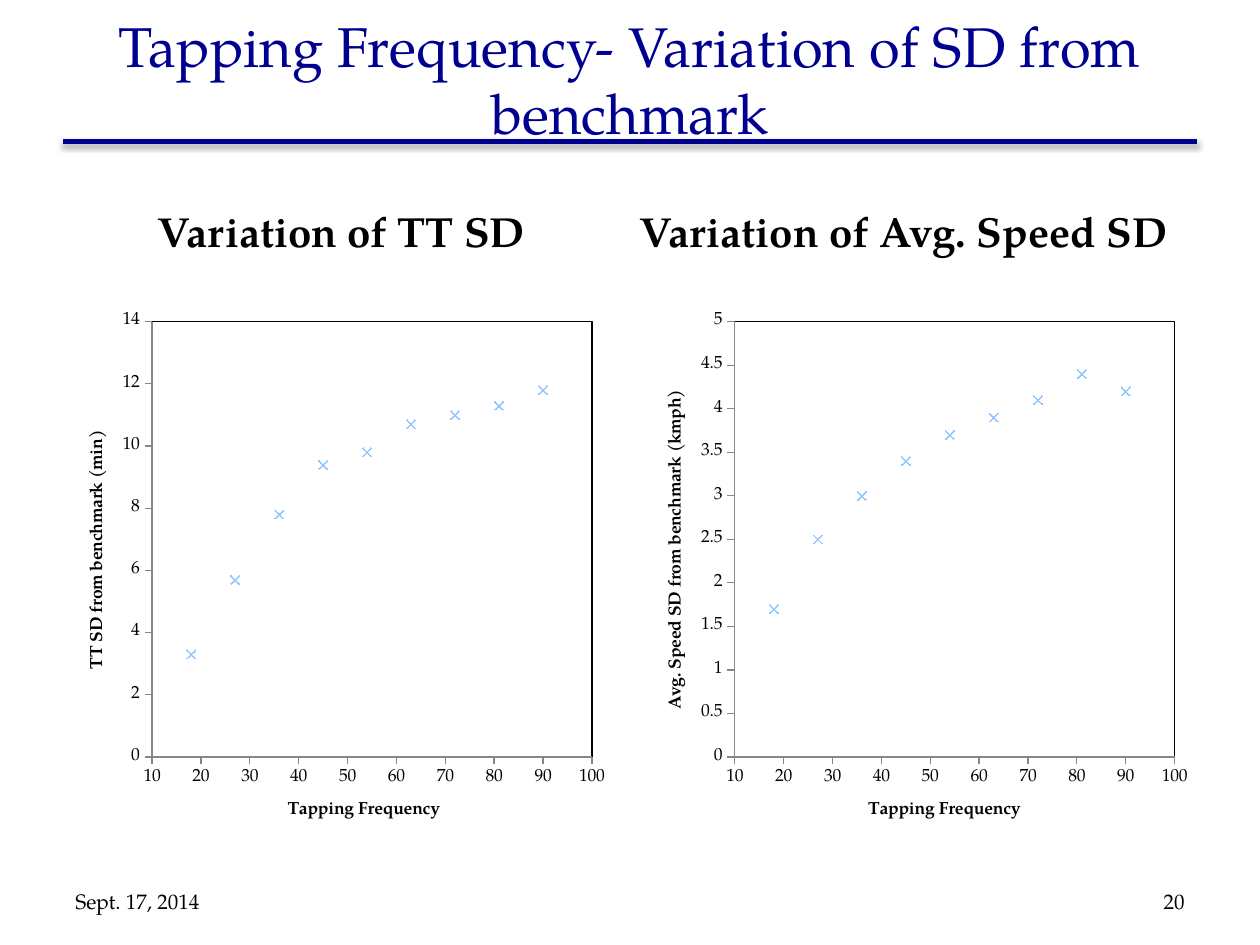
from dataclasses import dataclass

from lxml import etree
from pptx import Presentation
from pptx.chart.data import XyChartData
from pptx.dml.color import RGBColor
from pptx.enum.chart import XL_CHART_TYPE, XL_MARKER_STYLE, XL_TICK_MARK
from pptx.enum.shapes import MSO_CONNECTOR
from pptx.enum.text import MSO_ANCHOR, PP_ALIGN
from pptx.oxml import parse_xml
from pptx.oxml.ns import nsdecls
from pptx.util import Pt

SCATTER = XL_CHART_TYPE.XY_SCATTER
CROSS = XL_MARKER_STYLE.X
TICK_OUT, TICK_NONE = XL_TICK_MARK.OUTSIDE, XL_TICK_MARK.NONE
STRAIGHT = MSO_CONNECTOR.STRAIGHT
MIDDLE, BOTTOM = MSO_ANCHOR.MIDDLE, MSO_ANCHOR.BOTTOM
LEFT, CENTER, RIGHT = PP_ALIGN.LEFT, PP_ALIGN.CENTER, PP_ALIGN.RIGHT

FONT = "TeX Gyre Pagella"
NAVY, BLACK, GRAY, SKY = "000090", "000000", "868686", "90C8FF"
FREQUENCIES = range(18, 91, 9)


@dataclass
class Label:
    text: str
    box: tuple[float, float, float, float]
    size: float
    align: PP_ALIGN
    anchor: MSO_ANCHOR = MIDDLE
    color: str = BLACK
    bold: bool = False


@dataclass
class ScatterPanel:
    left: float
    value_title: str
    values: list[float]
    maximum: float
    step: float
    plot_left: float
    plot_width: float


LABELS = [
    Label("Tapping Frequency- Variation of SD from benchmark",
          (36, 0, 648, 90), 32, CENTER, color=NAVY),
    Label("Variation of TT SD", (36, 99.4, 318.2, 50.4), 24, CENTER, BOTTOM, bold=True),
    Label("Variation of Avg. Speed SD", (352.1, 99.4, 328.3, 50.4), 24, CENTER, BOTTOM,
          bold=True),
    Label("Sept. 17, 2014", (36, 500.4, 168, 28.8), 12, LEFT),
    Label("20", (516, 500.4, 168, 28.8), 12, RIGHT),
]
PANELS = [
    ScatterPanel(36, "TT SD from benchmark (min)",
                 [3.3, 5.7, 7.8, 9.4, 9.8, 10.7, 11, 11.3, 11.8], 14, 2, 0.16, 0.79),
    ScatterPanel(365.8, "Avg. Speed SD from benchmark (kmph)",
                 [1.7, 2.5, 3, 3.4, 3.7, 3.9, 4.1, 4.4, 4.2], 5, 0.5, 0.17, 0.79),
]


def rgb(color: str) -> RGBColor:
    return RGBColor.from_string(color)


def style_font(font, size: float, color: str = BLACK, bold: bool = False) -> None:
    for name, value in {"name": FONT, "size": Pt(size), "bold": bold}.items():
        setattr(font, name, value)
    font.color.rgb = rgb(color)


def add_label(slide, label: Label) -> None:
    shape = slide.shapes.add_textbox(*map(Pt, label.box))
    frame = shape.text_frame
    frame.word_wrap = True
    frame.vertical_anchor = label.anchor
    paragraph = frame.paragraphs[0]
    paragraph.alignment = label.align
    run = paragraph.add_run()
    run.text = label.text
    style_font(run.font, label.size, label.color, label.bold)


def add_title_rule(slide) -> None:
    rule = slide.shapes.add_connector(STRAIGHT, Pt(36), Pt(80.8), Pt(684), Pt(80.8))
    rule.line.color.rgb = rgb(NAVY)
    rule.line.width = Pt(3)
    rule._element.spPr.append(parse_xml(
        f'<a:effectLst {nsdecls("a")}><a:outerShdw blurRad="{Pt(3.1)}" dist="{Pt(1.6)}" '
        f'dir="5400000" rotWithShape="0"><a:srgbClr val="{BLACK}">'
        '<a:alpha val="38000"/></a:srgbClr></a:outerShdw></a:effectLst>'))


def style_axis(axis, title: str, limits: dict[str, float]) -> None:
    settings = {"has_major_gridlines": False, "major_tick_mark": TICK_OUT,
                "minor_tick_mark": TICK_NONE, **limits}
    for name, value in settings.items():
        setattr(axis, name, value)
    axis.tick_labels.number_format = "General"
    axis.tick_labels.number_format_is_linked = False
    axis.format.line.color.rgb = rgb(GRAY)
    axis.format.line.width = Pt(0.75)
    frame = axis.axis_title.text_frame
    frame.text = title
    style_font(frame.paragraphs[0].runs[0].font, 10, bold=True)


def frame_plot(chart, panel: ScatterPanel) -> None:
    """Fix the inner plot area and outline it in black."""
    plot_area = chart._chartSpace.chart.plotArea
    for layout in plot_area.findall("c:layout", plot_area.nsmap):
        plot_area.remove(layout)
    layout = parse_xml(f'<c:layout {nsdecls("c")}><c:manualLayout/></c:layout>')
    parts = {"layoutTarget": "inner", "xMode": "edge", "yMode": "edge",
             "x": panel.plot_left, "y": 0.04, "w": panel.plot_width, "h": 0.8}
    for name, value in parts.items():
        etree.SubElement(layout[0], f"{{{layout.nsmap['c']}}}{name}", val=str(value))
    plot_area.insert(0, layout)
    plot_area.append(parse_xml(
        f'<c:spPr {nsdecls("c", "a")}><a:noFill/><a:ln w="{Pt(0.75)}"><a:solidFill>'
        f'<a:srgbClr val="{BLACK}"/></a:solidFill></a:ln></c:spPr>'))


def add_scatter(slide, panel: ScatterPanel) -> None:
    data = XyChartData()
    points = data.add_series("Series 1")
    for frequency, value in zip(FREQUENCIES, panel.values):
        points.add_data_point(frequency, value)
    chart = slide.shapes.add_chart(
        SCATTER, Pt(panel.left), Pt(171.4), Pt(318.2), Pt(311), data).chart
    chart.has_title = False
    chart.has_legend = False
    style_font(chart.font, 10)
    style_axis(chart.category_axis, "Tapping Frequency",
               {"minimum_scale": 10, "maximum_scale": 100, "major_unit": 10})
    style_axis(chart.value_axis, panel.value_title,
               {"minimum_scale": 0, "maximum_scale": panel.maximum,
                "major_unit": panel.step})
    chart.plots[0].vary_by_categories = False
    series = chart.plots[0].series[0]
    series.smooth = False
    series.format.line.fill.background()
    series.marker.style = CROSS
    series.marker.size = 5
    series.marker.format.fill.solid()
    series.marker.format.fill.fore_color.rgb = rgb(SKY)
    series.marker.format.line.color.rgb = rgb(SKY)
    frame_plot(chart, panel)


def main() -> None:
    presentation = Presentation()
    presentation.slide_width, presentation.slide_height = Pt(720), Pt(540)
    slide = presentation.slides.add_slide(presentation.slide_layouts[6])
    add_title_rule(slide)
    for label in LABELS:
        add_label(slide, label)
    for panel in PANELS:
        add_scatter(slide, panel)
    presentation.save("out.pptx")


if __name__ == "__main__":
    main()
